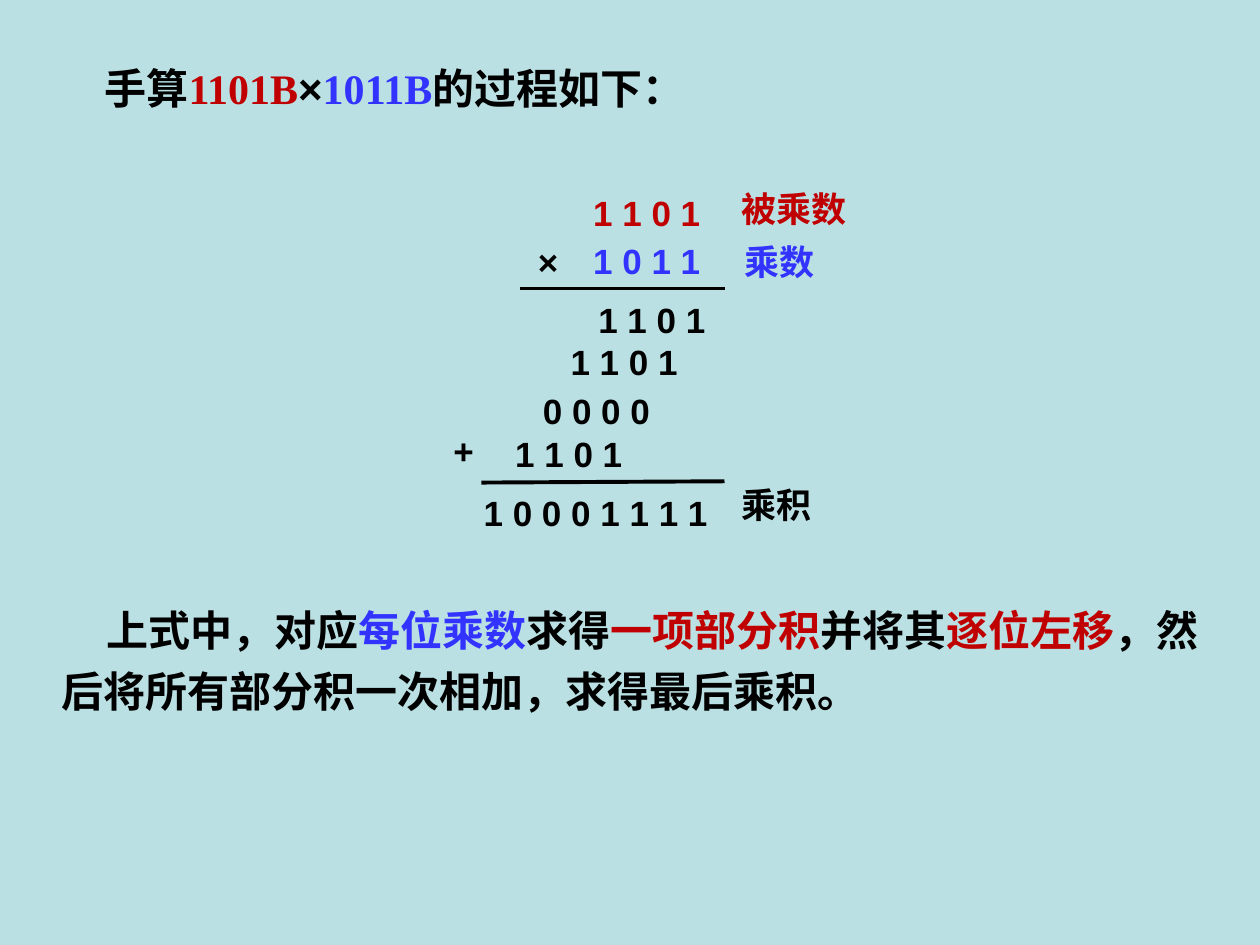
from dataclasses import dataclass

import pptx
import pptx.dml.color
import pptx.enum.shapes
import pptx.enum.text
import pptx.oxml.ns
import pptx.util
from lxml import etree
from pptx.util import Inches

COLORS = {
    "background": "BBE0E3",
    "black": "000000",
    "red": "C00000",
    "blue": "3333FF",
}
SERIF = "Times New Roman"
SANS = "Arial"
PARTIAL_LEFT = 4.65
BIT_SHIFT = 0.22


@dataclass(frozen=True)
class Run:
    text: str
    color: str = "black"
    font: str = SERIF


@dataclass(frozen=True)
class Label:
    text: str
    left: float
    top: float
    width: float
    color: str = "black"
    wrap: bool = True


@dataclass(frozen=True)
class Rule:
    start: tuple[float, float]
    end: tuple[float, float]


HEADING = [
    Run("手算"),
    Run("1101B", "red"),
    Run("×", font=SANS),
    Run("1011B", "blue"),
    Run("的过程如下："),
]
EXPLANATION = [
    Run("上式中，对应"),
    Run("每位乘数", "blue"),
    Run("求得"),
    Run("一项部分积", "red"),
    Run("并将其"),
    Run("逐位左移", "red"),
    Run("，然后将所有部分积一次相加，求得最后乘积。"),
]
LABELS = [
    Label("1 1 0 1", 4.61, 1.47, 1.14, "red"),
    Label("1 0 1 1", 4.61, 1.85, 1.14, "blue"),
    Label("×", 4.17, 1.86, 0.48, wrap=False),
    Label("+", 3.5, 3.36, 0.57),
    Label("1 0 0 0 1 1 1 1", 3.74, 3.85, 2.96),
    Label("被乘数", 5.79, 1.44, 1.07, "red"),
    Label("乘数", 5.81, 1.86, 1.07, "blue"),
    Label("乘积", 5.79, 3.79, 0.84),
]
PARTIAL_PRODUCTS = [
    ("1 1 0 1", 2.32),
    ("1 1 0 1", 2.65),
    ("0 0 0 0", 3.04),
    ("1 1 0 1", 3.38),
]
RULES = [Rule((4.13, 2.29), (5.75, 2.29)), Rule((3.82, 3.83), (5.75, 3.82))]


def rgb(name: str) -> pptx.dml.color.RGBColor:
    return pptx.dml.color.RGBColor.from_string(COLORS[name])


def write_text(sp, runs: list[Run], *, size: float, wrap: bool = True,
               indent: float = 0, line_spacing=None) -> None:
    """Fill a shape with one bold, left-aligned paragraph."""
    tf = sp.text_frame
    tf.word_wrap = wrap
    tf.auto_size = pptx.enum.text.MSO_AUTO_SIZE.SHAPE_TO_FIT_TEXT
    tf.vertical_anchor = pptx.enum.text.MSO_ANCHOR.TOP
    p = tf.paragraphs[0]
    p.alignment = pptx.enum.text.PP_ALIGN.LEFT
    if line_spacing is not None:
        p.line_spacing = line_spacing
    if indent:
        p_pr = p._p.get_or_add_pPr()
        p_pr.set("marL", "0")
        p_pr.set("indent", str(Inches(indent)))
    for run in runs:
        r = p.add_run()
        r.text = run.text
        r.font.name = run.font
        r.font.size = pptx.util.Pt(size)
        r.font.bold = True
        r.font.color.rgb = rgb(run.color)


def add_label(s, label: Label) -> None:
    sp = s.shapes.add_textbox(Inches(label.left), Inches(label.top),
                              Inches(label.width), Inches(0.44))
    write_text(sp, [Run(label.text, label.color, SANS)], size=20, wrap=label.wrap)


def add_rule(s, rule: Rule) -> None:
    line = s.shapes.add_connector(
        pptx.enum.shapes.MSO_CONNECTOR.STRAIGHT,
        *(Inches(v) for v in (*rule.start, *rule.end)))
    line.line.color.rgb = rgb("black")
    line.line.width = pptx.util.Pt(2.25)
    etree.SubElement(line._element.spPr, pptx.oxml.ns.qn("a:effectLst"))


def main() -> None:
    prs = pptx.Presentation()
    prs.slide_width, prs.slide_height = Inches(10), Inches(7.5)
    s = prs.slides.add_slide(prs.slide_layouts[5])
    s.background.fill.solid()
    s.background.fill.fore_color.rgb = rgb("background")

    title = s.shapes.title
    title.left, title.top = Inches(0.35), Inches(0.36)
    title.width, title.height = Inches(5.34), Inches(0.59)
    write_text(title, HEADING, size=24, indent=0.38,
               line_spacing=pptx.util.Pt(34.8))

    for label in LABELS:
        add_label(s, label)
    for i, (bits, top) in enumerate(PARTIAL_PRODUCTS):
        add_label(s, Label(bits, PARTIAL_LEFT - i * BIT_SHIFT, top, 1.05))
    for rule in RULES:
        add_rule(s, rule)

    body = s.shapes.add_textbox(Inches(0.39), Inches(4.67),
                                Inches(9.3), Inches(1.07))
    write_text(body, EXPLANATION, size=24, indent=0.36, line_spacing=1.2)

    prs.save("out.pptx")


if __name__ == "__main__":
    main()
